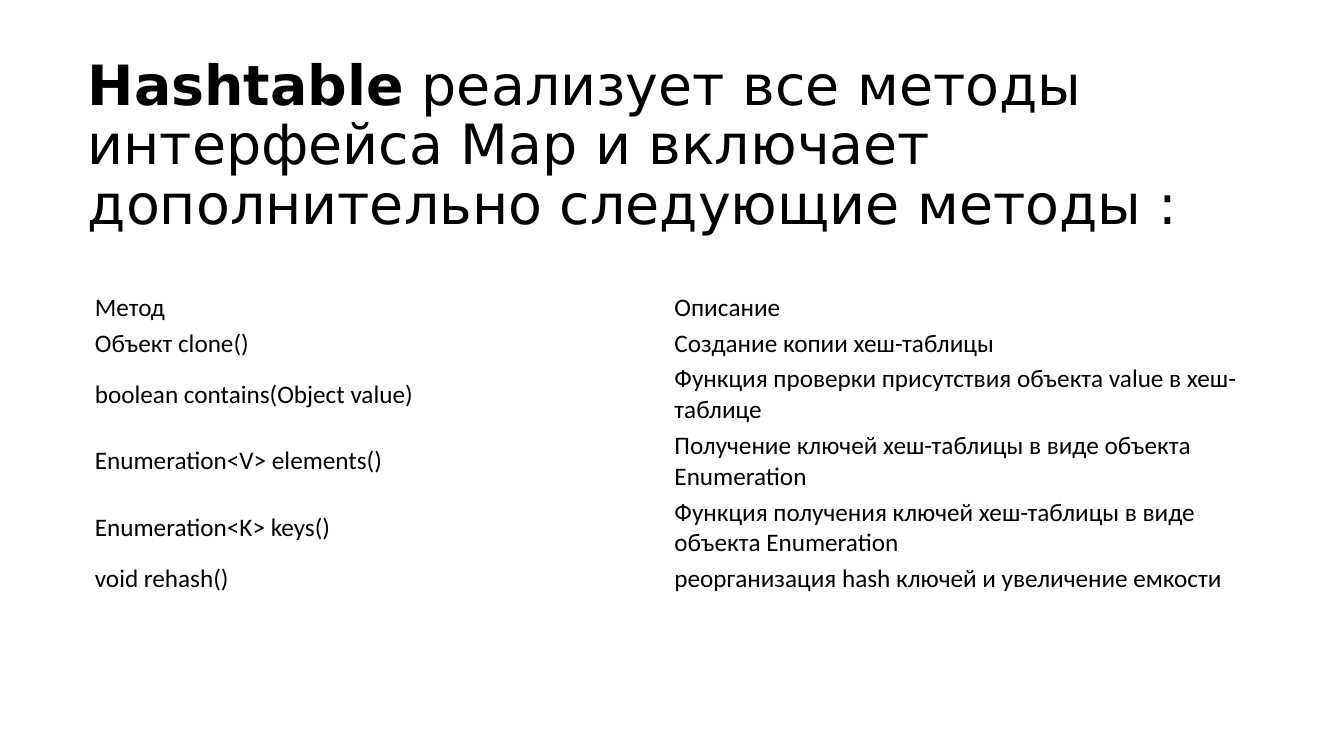
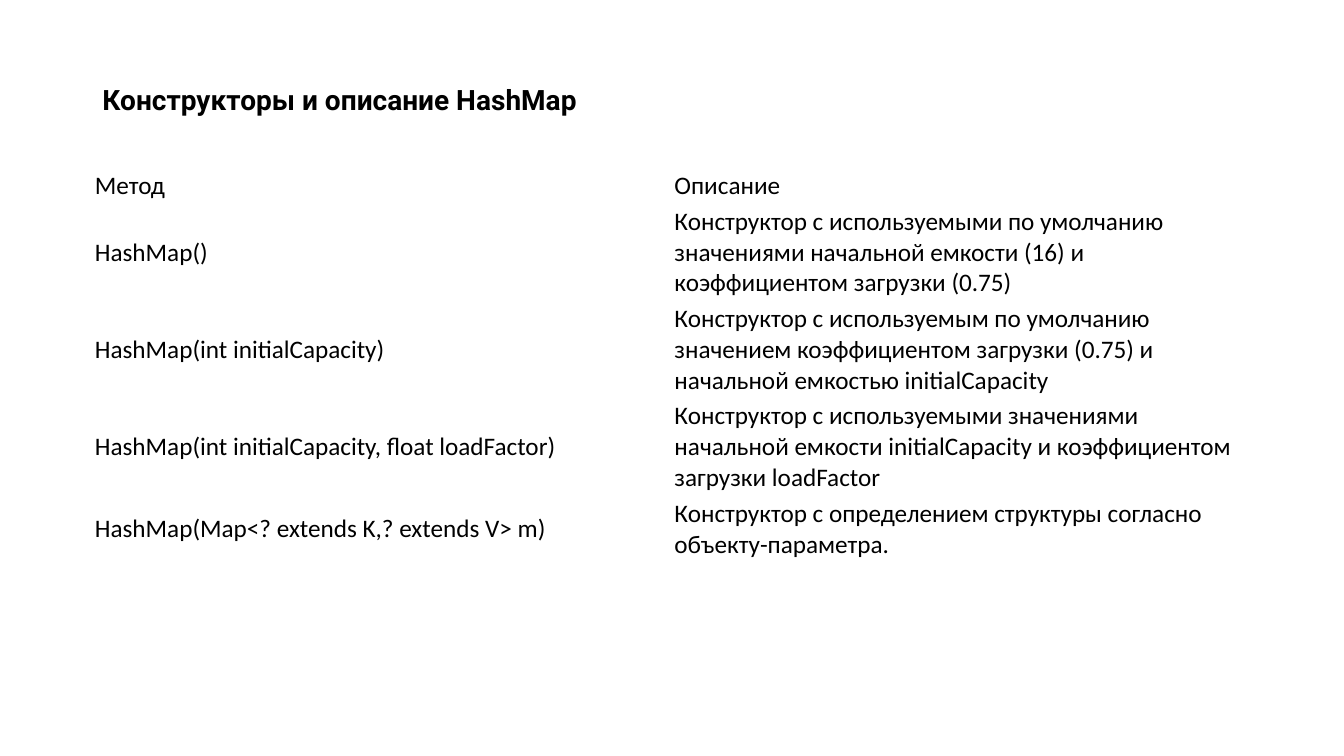
"""Build two slides that list hash table methods and constructors."""
from dataclasses import dataclass

from pptx import Presentation
from pptx.dml.color import RGBColor
from pptx.enum.text import MSO_ANCHOR, MSO_AUTO_SIZE, PP_ALIGN
from pptx.util import Inches, Pt

LEFT = PP_ALIGN.LEFT
TOP, MIDDLE = MSO_ANCHOR.TOP, MSO_ANCHOR.MIDDLE
NO_AUTOFIT = MSO_AUTO_SIZE.NONE

COLORS = {"text": "000000", "paper": "FFFFFF"}
UNIT = Inches(1) // 12
GRID_COLUMNS, GRID_ROWS = 160, 90
TITLE_ONLY = 5
BODY_FONT, BODY_SIZE = "Calibri", 18
CELL_INSET = Pt(1.8)
LINE_HEIGHT, ROW_PADDING = Inches(0.3), Inches(0.05)
HEADER = ("Метод", "Описание", 1)


@dataclass
class Box:
    """Hold a region in grid units."""
    left: float
    top: float
    width: float
    height: float = 0

    def lengths(self):
        """Return the region as slide lengths."""
        return [round(value * UNIT) for value in
                (self.left, self.top, self.width, self.height)]


def add_span(para, text, font, size, bold=False):
    """Add one formatted run to a paragraph."""
    span = para.add_run()
    span.text = text
    span.font.name = font
    span.font.size = Pt(size)
    span.font.bold = bold
    span.font.color.rgb = RGBColor.from_string(COLORS["text"])


def fill_title(page, box, spans, font, size, anchor, spacing):
    """Place the title and write its (text, bold) spans."""
    title = page.shapes.title
    title.left, title.top, title.width, title.height = box.lengths()
    frame = title.text_frame
    frame.word_wrap = True
    frame.auto_size = NO_AUTOFIT
    frame.vertical_anchor = anchor
    para = frame.paragraphs[0]
    para.alignment = LEFT
    para.line_spacing = spacing
    for text, bold in spans:
        add_span(para, text, font, size, bold)


def fill_cell(cell, text):
    """Write one plain table cell."""
    cell.fill.solid()
    cell.fill.fore_color.rgb = RGBColor.from_string(COLORS["paper"])
    cell.vertical_anchor = MIDDLE
    cell.margin_left = cell.margin_right = CELL_INSET
    cell.margin_top = cell.margin_bottom = CELL_INSET
    add_span(cell.text_frame.paragraphs[0], text, BODY_FONT, BODY_SIZE)


def add_method_table(page, box, entries):
    """Add a two-column table whose rows fit their line counts."""
    rows = [HEADER, *entries]
    heights = [lines * LINE_HEIGHT + ROW_PADDING for _, _, lines in rows]
    left, top, width, _ = box.lengths()
    table = page.shapes.add_table(len(rows), 2, left, top, width,
                                  sum(heights)).table
    table.first_row = False
    table.horz_banding = False
    for index, (method, description, _) in enumerate(rows):
        table.rows[index].height = heights[index]
        fill_cell(table.cell(index, 0), method)
        fill_cell(table.cell(index, 1), description)


def add_page(deck, title, table_top, entries):
    """Add a slide with a title and a method table below it."""
    page = deck.slides.add_slide(deck.slide_layouts[TITLE_ONLY])
    fill_title(page, **title)
    add_method_table(page, Box(11, table_top, 138), entries)


HASHTABLE_TITLE = {
    "box": Box(9.25, 12.75, 139.8, 9.5),
    "spans": [("Hashtable", True),
              (" реализует все методы интерфейса Map и включает "
               "дополнительно следующие методы :", False)],
    "font": "DejaVu Sans", "size": 39.6, "anchor": MIDDLE, "spacing": 0.9,
}
HASHTABLE_METHODS = [
    ("Объект clone()", "Создание копии хеш-таблицы", 1),
    ("boolean contains(Object value)",
     "Функция проверки присутствия объекта value в хеш-таблице", 2),
    ("Enumeration<V> elements()",
     "Получение ключей хеш-таблицы в виде объекта Enumeration", 2),
    ("Enumeration<K> keys()",
     "Функция получения ключей хеш-таблицы в виде объекта Enumeration", 2),
    ("void rehash()", "реорганизация hash ключей и увеличение емкости", 1),
]
HASHMAP_TITLE = {
    "box": Box(11, 9.25, 109, 8.75),
    "spans": [("Конструкторы и описание HashMap", True)],
    "font": "Roboto", "size": 20, "anchor": TOP, "spacing": 1.0,
}
HASHMAP_CONSTRUCTORS = [
    ("HashMap()",
     "Конструктор с используемыми по умолчанию значениями начальной "
     "емкости (16) и коэффициентом загрузки (0.75)", 3),
    ("HashMap(int initialCapacity)",
     "Конструктор с используемым по умолчанию значением коэффициентом "
     "загрузки (0.75) и начальной емкостью initialCapacity", 3),
    ("HashMap(int initialCapacity, float loadFactor)",
     "Конструктор с используемыми значениями начальной емкости "
     "initialCapacity и коэффициентом загрузки loadFactor", 3),
    ("HashMap(Map<? extends K,? extends V> m)",
     "Конструктор с определением структуры согласно объекту-параметра.", 2),
]

deck = Presentation()
deck.slide_width, deck.slide_height = GRID_COLUMNS * UNIT, GRID_ROWS * UNIT
add_page(deck, HASHTABLE_TITLE, 34.5, HASHTABLE_METHODS)
add_page(deck, HASHMAP_TITLE, 20, HASHMAP_CONSTRUCTORS)
deck.save("out.pptx")
